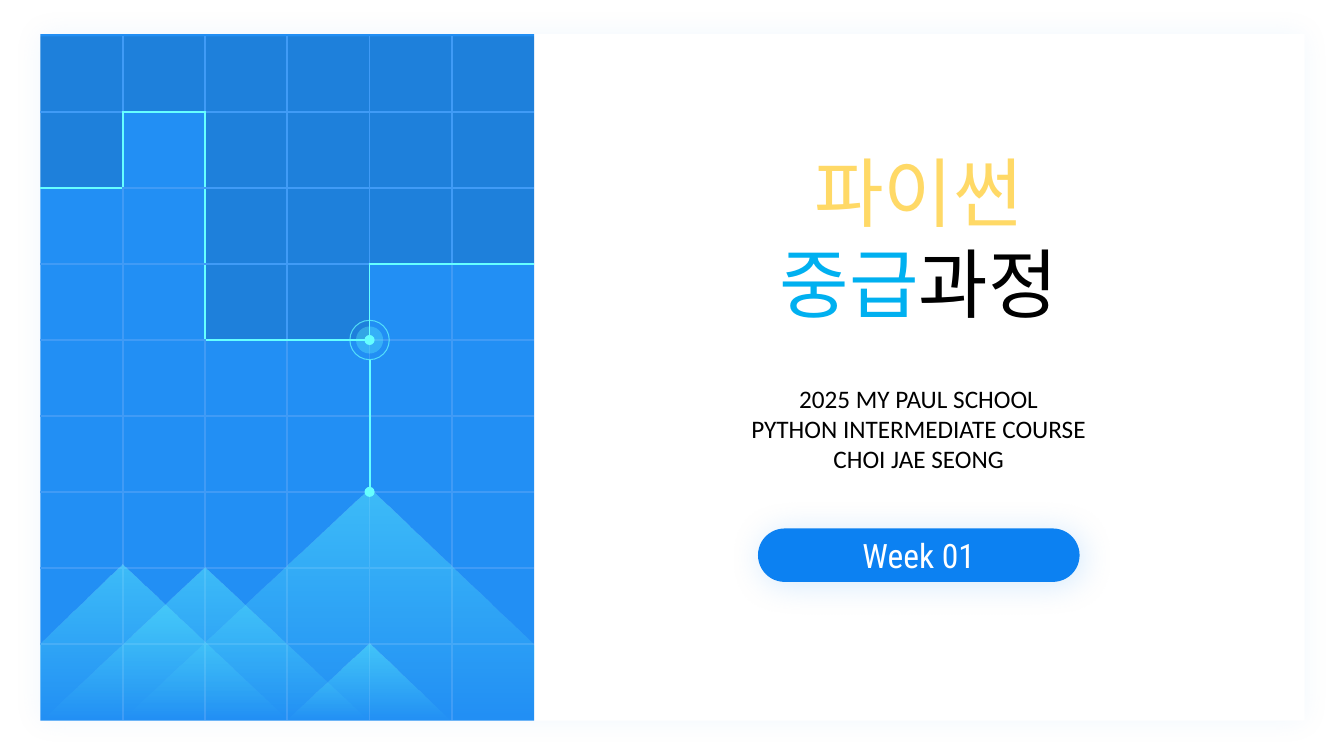
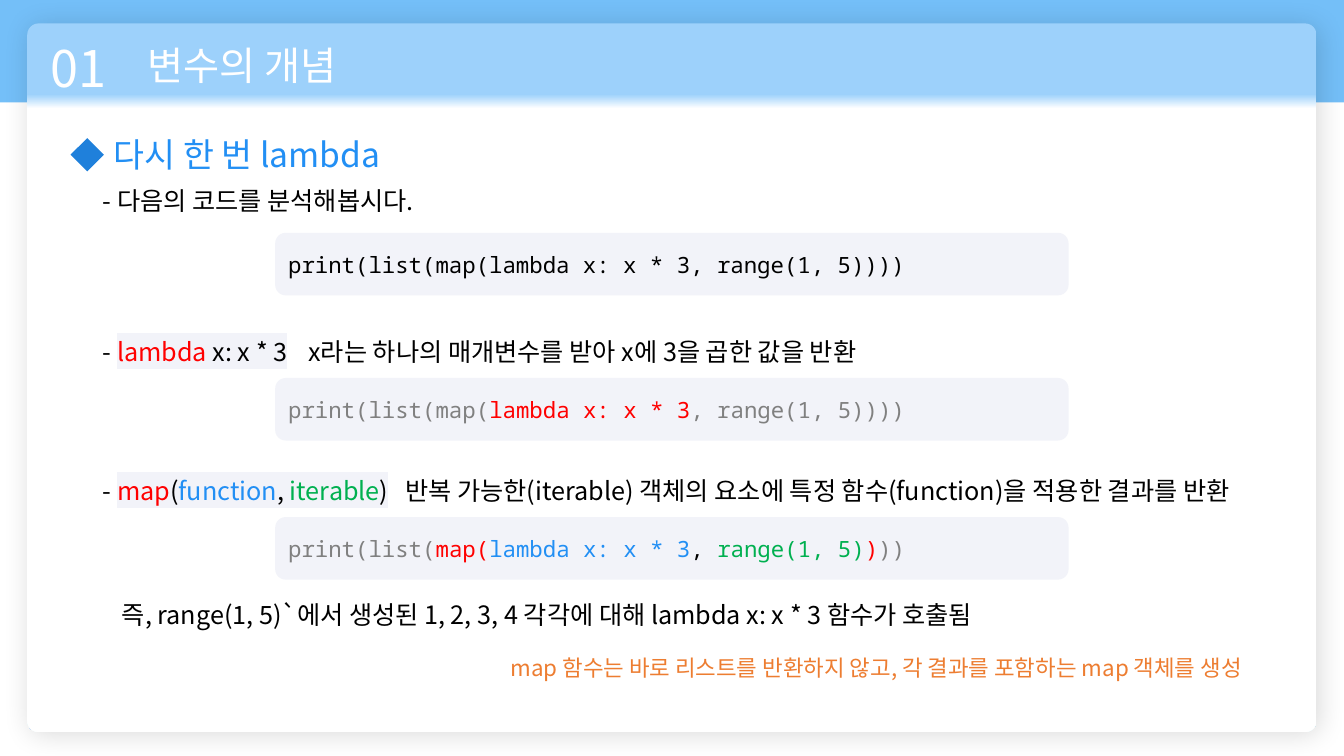
"""Build the cover and the lambda slide of a Python intermediate course."""
from lxml import etree
from pptx import Presentation, util as u
from pptx.dml.color import RGBColor
from pptx.enum import shapes, text
from pptx.oxml.ns import qn

BLUE, CYAN, GRID = "228FF4", "66FFFF", "409BF6"
BUTTON, DEEP, CODE_BG = "0C81F2", "1F80DB", "F2F3F9"
WHITE, BLACK, GREY = "FFFFFF", "000000", "808080"
RED, GREEN = "FF0000", "00B050"
KOREAN, MONO = "Noto Sans CJK KR", "Noto Sans Mono"
LEFT, CENTER, RIGHT = text.PP_ALIGN.LEFT, text.PP_ALIGN.CENTER, text.PP_ALIGN.RIGHT
RECT, ROUND = shapes.MSO_SHAPE.RECTANGLE, shapes.MSO_SHAPE.ROUNDED_RECTANGLE
OVAL, DIAMOND = shapes.MSO_SHAPE.OVAL, shapes.MSO_SHAPE.DIAMOND
hue = RGBColor.from_string

deck = Presentation()
deck.slide_width, deck.slide_height = u.Inches(13.33), u.Inches(7.5)
X, Y = deck.slide_width / 100, deck.slide_height / 100


def paint(shape, *stops, shadow=None):
    """Fill with (position, colour, opacity) stops and add an optional shadow."""
    shape.line.fill.background()
    if len(stops) == 1:
        shape.fill.solid()
        shape.fill.fore_color.rgb = hue(stops[0][1])
    elif stops:
        shape.fill.gradient()
        shape.fill.gradient_angle = 270
        for mark, (position, colour, _) in zip(shape.fill.gradient_stops, stops):
            mark.position, mark.color.rgb = position, hue(colour)
    else:
        shape.fill.background()
    for node, stop in zip(shape.element.spPr.iter(qn("a:srgbClr")), stops):
        etree.SubElement(node, qn("a:alpha"), val=str(stop[2] * 1000))
    shape.shadow.inherit = False
    if shadow:
        colour, opacity, blur, distance, angle = shadow
        effects = shape.element.spPr.find(qn("a:effectLst"))
        outer = etree.SubElement(effects, qn("a:outerShdw"), blurRad=str(u.Pt(blur)),
                                 dist=str(u.Pt(distance)), dir=str(angle * 60000),
                                 algn="ctr", rotWithShape="0")
        node = etree.SubElement(outer, qn("a:srgbClr"), val=colour)
        etree.SubElement(node, qn("a:alpha"), val=str(opacity * 1000))
    return shape


def write(shape, lines, size, font=KOREAN, align=LEFT, anchor=text.MSO_ANCHOR.TOP, tab=None):
    """Write lines of (text, colour, highlight) runs into a shape."""
    frame = shape.text_frame
    frame.word_wrap, frame.auto_size = True, text.MSO_AUTO_SIZE.NONE
    frame.vertical_anchor = anchor
    for index, line in enumerate(lines):
        paragraph = frame.add_paragraph() if index else frame.paragraphs[0]
        paragraph.alignment = align
        if tab:
            stops = etree.SubElement(paragraph._p.get_or_add_pPr(), qn("a:tabLst"))
            etree.SubElement(stops, qn("a:tab"), pos=str(u.Inches(tab)), algn="l")
        for words, colour, *mark in line:
            run = paragraph.add_run()
            run.text = words
            run.font.size, run.font.name = u.Pt(size), font
            run.font.color.rgb = hue(colour)
            latin = run.font._element.find(qn("a:latin"))
            latin.addnext(etree.Element(qn("a:ea"), typeface=font))
            if mark:
                highlight = etree.Element(qn("a:highlight"))
                etree.SubElement(highlight, qn("a:srgbClr"), val=mark[0])
                latin.addprevious(highlight)


title_only = deck.slide_layouts[5]
cover, lesson = [deck.slides.add_slide(title_only) for _ in range(2)]

for slide, kind, (x, y, w, h), stops, shadow, radius in [
    (cover, RECT, (3, 4.53, 94.07, 90.8), [(0, WHITE, 100)], (BUTTON, 5, 20, 0, 0), None),
    (cover, RECT, (3, 4.53, 36.75, 90.8), [(0, BLUE, 100)], None, None),
    (lesson, RECT, (0, 0, 100, 13.55), [(0, "74BFF8", 100)], None, None),
    (lesson, ROUND, (2.03, 3.1, 95.93, 93.73),
     [(0.1, "9DD1FB", 100), (0.12, WHITE, 100)], (BLACK, 14, 20, 3, 45), 0.016),
    (lesson, DIAMOND, (5.25, 18.27, 2.48, 4.4), [(0, DEEP, 100)], None, None),
]:
    panel = slide.shapes.add_shape(kind, int(x * X), int(y * Y), int(w * X), int(h * Y))
    paint(panel, *stops, shadow=shadow)
    if radius:
        panel.adjustments[0] = radius

for slide, (x, y, w, h), lines, size, align in [
    (cover, (43.35, 18.67, 50, 25.6),
     [[("파이썬", "FFD966")], [("중급", "00B0F0"), ("과정", BLACK)]], 54, CENTER),
    (lesson, (10.2, 4.8, 36.75, 7.6), [[("변수의 개념", WHITE)]], 28, LEFT),
]:
    title = slide.shapes.title
    title.element.getparent().append(title.element)
    title.left, title.top, title.width, title.height = int(x * X), int(y * Y), int(w * X), int(h * Y)
    write(title, lines, size, align=align)

week = cover.shapes.add_shape(ROUND, int(56.4 * X), int(69.9 * Y), int(23.93 * X), int(7.07 * Y))
week.adjustments[0] = 0.5
paint(week, (0, BUTTON, 100), shadow=(BUTTON, 17, 24, 3, 45))
write(week, [[("Week 01", WHITE)]], 24, "Roboto Condensed", CENTER, text.MSO_ANCHOR.MIDDLE)

COLS, ROWS = 6, 9
grid_x, grid_y = 3 * X, 4.8 * Y
col, row = 36.75 * X / COLS, 90.4 * Y / ROWS
shaded_rows = [2, 1, 4, 4, 3, 3]
skyline = cover.shapes.add_table(ROWS, COLS, int(grid_x), int(grid_y),
                                 int(col * COLS), int(row * ROWS)).table
skyline.first_row = skyline.horz_banding = False
for r in range(ROWS):
    for c in range(COLS):
        cell = skyline.cell(r, c)
        shaded = r < shaded_rows[c]
        if shaded:
            cell.fill.solid()
            cell.fill.fore_color.rgb = hue(BLACK)
        else:
            cell.fill.background()
        props = cell._tc.tcPr
        for node in props.iter(qn("a:srgbClr")):
            etree.SubElement(node, qn("a:alpha"), val="10000")
        sides = [("a:lnL", r, c - 1), ("a:lnR", r, c + 1), ("a:lnT", r - 1, c), ("a:lnB", r + 1, c)]
        for place, (side, near_r, near_c) in enumerate(sides):
            edge = etree.Element(qn(side), w=str(u.Pt(1.5)))
            props.insert(place, edge)
            if 0 <= near_r < ROWS and 0 <= near_c < COLS:
                step = shaded != (near_r < shaded_rows[near_c])
                solid = etree.SubElement(edge, qn("a:solidFill"))
                etree.SubElement(solid, qn("a:srgbClr"), val=CYAN if step else GRID)
            else:
                etree.SubElement(edge, qn("a:noFill"))

for outline in [
    [(0, 9), (0, 8), (1, 6.96), (3.02, 9.01)],
    [(1, 9), (4, 5.95), (6, 8.02), (6, 9)],
    [(0, 9.02), (2, 7), (4, 9.02)],
    [(3, 9), (4, 8), (5, 9.03)],
]:
    points = [(int(grid_x + c * col), int(grid_y + r * row)) for c, r in outline]
    pen = cover.shapes.build_freeform(*points[0])
    pen.add_line_segments(points[1:], close=True)
    paint(pen.convert_to_shape(), (0, CYAN, 41), (1, CYAN, 0))

pin_x = grid_x + 4 * col
beacon_y, peak_y = grid_y + 4 * row, grid_y + 6 * row
ring_size = 2.93 * X
stem = cover.shapes.add_connector(shapes.MSO_CONNECTOR.STRAIGHT, int(pin_x),
                                  int(beacon_y + ring_size / 2), int(pin_x), int(peak_y))
stem.line.color.rgb, stem.line.width = hue(CYAN), u.Pt(1.5)
etree.SubElement(stem.element.spPr, qn("a:effectLst"))
for middle, size, stops in [
    (beacon_y, 2.02 * X, [(0, CYAN, 30)]),
    (beacon_y, ring_size, []),
    (beacon_y, 0.75 * X, [(0, CYAN, 100)]),
    (peak_y, 0.75 * X, [(0, CYAN, 100)]),
]:
    circle = cover.shapes.add_shape(OVAL, int(pin_x - size / 2), int(middle - size / 2),
                                    int(size), int(size))
    paint(circle, *stops)
    if not stops:
        circle.line.color.rgb, circle.line.width = hue(CYAN), u.Pt(0.75)
        for node in circle.element.spPr.iter(qn("a:srgbClr")):
            etree.SubElement(node, qn("a:alpha"), val="70000")

credits = ["2025 MY PAUL SCHOOL", "PYTHON INTERMEDIATE COURSE", "CHOI JAE SEONG"]
for slide, (x, y, w, h), lines, size, font, align, tab in [
    (cover, (43.35, 50, 50, 13.5), [[(line, BLACK)] for line in credits],
     18, "Calibri", CENTER, None),
    (lesson, (3, 4.27, 7.65, 9.47), [[("01", WHITE)]], 36, KOREAN, LEFT, None),
    (lesson, (7.73, 17.07, 30, 6.67), [[("다시 한 번 lambda", BLUE)]], 24, KOREAN, LEFT, None),
    (lesson, (6.9, 23.87, 60.5, 5.33), [[("- 다음의 코드를 분석해봅시다.", BLACK)]],
     18, KOREAN, LEFT, None),
    (lesson, (6.9, 43.87, 73.3, 5.33),
     [[("- ", BLACK), ("lambda", RED, CODE_BG), (" x: x * 3", BLACK, CODE_BG),
       ("\tx라는 하나의 매개변수를 받아 x에 3을 곱한 값을 반환", BLACK)]],
     18, KOREAN, LEFT, 2.04),
    (lesson, (6.9, 62.27, 85.95, 5.33),
     [[("- ", BLACK), ("map", RED, CODE_BG), ("(", BLACK, CODE_BG),
       ("function", BLUE, CODE_BG), (", ", BLACK, CODE_BG),
       ("iterable", GREEN, CODE_BG), (")", BLACK, CODE_BG),
       ("\t반복 가능한(iterable) 객체의 요소에 특정 함수(function)을 적용한 결과를 반환", BLACK)]],
     18, KOREAN, LEFT, 3),
    (lesson, (8.33, 78.67, 85.95, 5.33),
     [[("즉, range(1, 5)`에서 생성된 1, 2, 3, 4 각각에 대해 lambda x: x * 3 함수가 호출됨", BLACK)]],
     18, KOREAN, LEFT, None),
    (lesson, (7.73, 85.87, 85.4, 4.93),
     [[("map 함수는 바로 리스트를 반환하지 않고, 각 결과를 포함하는 map 객체를 생성", "ED7D31")]],
     16, KOREAN, RIGHT, None),
]:
    note = slide.shapes.add_textbox(int(x * X), int(y * Y), int(w * X), int(h * Y))
    write(note, lines, size, font, align, tab=tab)

for y, code in [
    (30.8, [("print(list(map(lambda x: x * 3, range(1, 5))))", BLACK)]),
    (50, [("print(list(map(", GREY), ("lambda x: x * 3", RED), (", range(1, 5))))", GREY)]),
    (68.4, [("print(list(", GREY), ("map(", RED), ("lambda x: x * 3", BLUE), (", ", BLACK),
            ("range(1, 5)", GREEN), (")", RED), ("))", GREY)]),
]:
    listing = lesson.shapes.add_shape(ROUND, int(20.48 * X), int(y * Y), int(59.03 * X), int(8.27 * Y))
    paint(listing, (0, CODE_BG, 100))
    write(listing, [code], 16, MONO, anchor=text.MSO_ANCHOR.MIDDLE)

deck.save("out.pptx")
